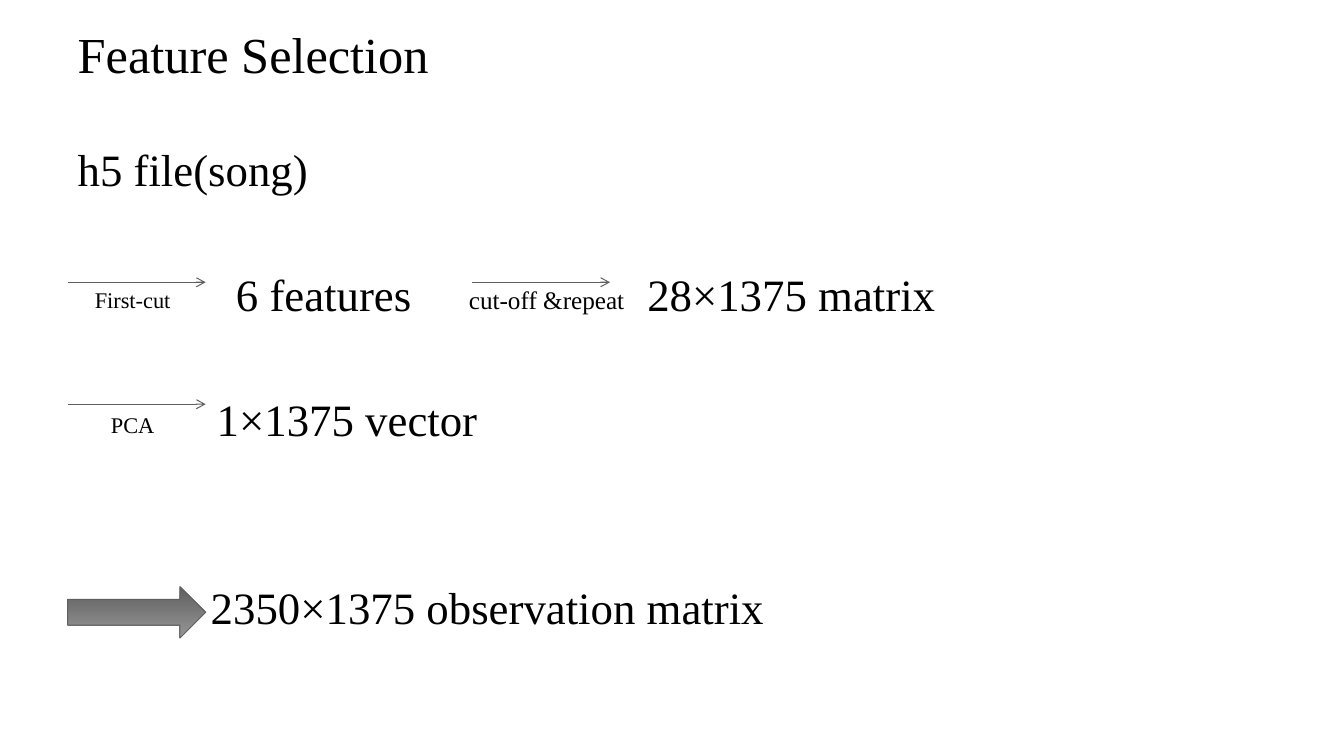
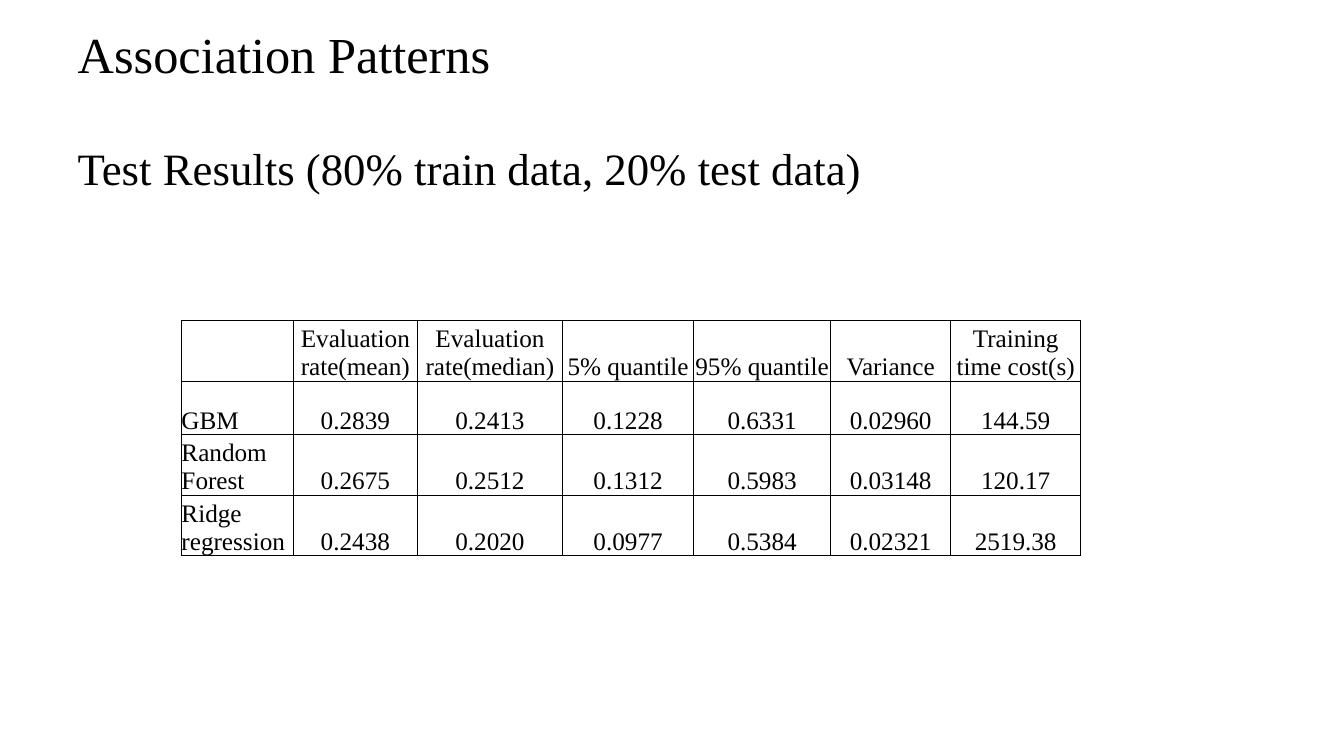
"""Build two slides: feature selection steps and model test results."""
from lxml import etree
from pptx import Presentation
from pptx import util as u
from pptx.dml.color import RGBColor
from pptx.enum import shapes, text
from pptx.oxml import ns

BLACK = RGBColor(0, 0, 0)
DARK = RGBColor(0x5F, 0x5F, 0x5F)
LIGHT = RGBColor(0x96, 0x96, 0x96)
FONT = "Times New Roman"
ASCENT = 0.891
LEFT = 0.67
EDGE = 0.77
REACH = 1.37
THIN = u.Pt(0.75)

STEPS = [
    ("h5 file(song)", 32, EDGE, 1.8, 3),
    ("First-cut", 16, 0.94, 3.04, 1),
    ("6 features", 32, 2.34, 3.04, 2.2),
    ("cut-off &repeat", 18, 4.65, 3.04, 1.75),
    ("28×1375 matrix", 32, 6.42, 3.04, 3.5),
    ("PCA", 16, 1.1, 4.28, 0.8),
    ("1×1375 vector", 32, 2.15, 4.28, 3.2),
    ("2350×1375 observation matrix", 32, 2.09, 6.15, 6.5),
]
ARROWS = [(LEFT, 2.8), (4.68, 2.8), (LEFT, 4.01)]
RESULTS = [("Test Results (80% train data, 20% test data)", 32, EDGE, 1.79, 9)]

COLS = [1.11, 1.23, 1.44, 1.3, 1.36, 1.19, 1.29]
ROWS = [0.6, 0.53, 0.6, 0.55]
TABLE = [
    ["", "Evaluation rate(mean)", "Evaluation rate(median)", "5% quantile",
     "95% quantile", "Variance", "Training time cost(s)"],
    ["GBM", "0.2839", "0.2413", "0.1228", "0.6331", "0.02960", "144.59"],
    ["Random Forest", "0.2675", "0.2512", "0.1312", "0.5983", "0.03148", "120.17"],
    ["Ridge regression", "0.2438", "0.2020", "0.0977", "0.5384", "0.02321", "2519.38"],
]


def write(frame, words, size, align=text.PP_ALIGN.LEFT):
    para = frame.paragraphs[0]
    para.alignment = align
    run = para.add_run()
    run.text = words
    run.font.name = FONT
    run.font.size = u.Pt(size)
    run.font.color.rgb = BLACK


def start(deck, words):
    slide = deck.slides.add_slide(deck.slide_layouts[5])
    title = slide.shapes.title
    title.left, title.top = u.Inches(LEFT), u.Inches(0.21)
    title.width, title.height = u.Inches(12), u.Inches(0.64)
    frame = title.text_frame
    frame.auto_size = text.MSO_AUTO_SIZE.NONE
    frame.vertical_anchor = text.MSO_ANCHOR.MIDDLE
    write(frame, words, 36)
    return slide


def label(slide, words, size, left, base, width):
    top = base - ASCENT * size / 72
    box = slide.shapes.add_textbox(u.Inches(left), u.Inches(top),
                                   u.Inches(width), u.Inches(size / 60))
    frame = box.text_frame
    frame.word_wrap = True
    frame.margin_left = frame.margin_right = 0
    frame.margin_top = frame.margin_bottom = 0
    write(frame, words, size)


def arrow(slide, left, top):
    line = slide.shapes.add_connector(
        shapes.MSO_CONNECTOR.STRAIGHT, u.Inches(left), u.Inches(top),
        u.Inches(left + REACH), u.Inches(top))
    line.line.color.rgb = DARK
    line.line.width = THIN
    etree.SubElement(line.line._get_or_add_ln(), ns.qn("a:tailEnd"), type="arrow")
    etree.SubElement(line._element.spPr, ns.qn("a:effectLst"))


def block(slide):
    shape = slide.shapes.add_shape(
        shapes.MSO_SHAPE.RIGHT_ARROW, u.Inches(LEFT), u.Inches(5.82),
        u.Inches(REACH), u.Inches(0.51))
    shape.shadow.inherit = False
    shape.fill.gradient()
    shape.fill.gradient_angle = 270
    for stop, color in zip(shape.fill.gradient_stops, (DARK, LIGHT)):
        stop.color.rgb = color
    shape.line.color.rgb = DARK
    shape.line.width = THIN


def border(cell):
    props = cell._tc.get_or_add_tcPr()
    for side in ("lnL", "lnR", "lnT", "lnB"):
        line = etree.SubElement(props, ns.qn("a:" + side), w=str(THIN))
        fill = etree.SubElement(line, ns.qn("a:solidFill"))
        etree.SubElement(fill, ns.qn("a:srgbClr"), val=str(BLACK))


def grid(slide):
    table = slide.shapes.add_table(
        len(ROWS), len(COLS), u.Inches(1.8), u.Inches(3.18),
        u.Inches(sum(COLS)), u.Inches(sum(ROWS))).table
    table.first_row = table.horz_banding = False
    for col, width in zip(table.columns, COLS):
        col.width = u.Inches(width)
    for r, (height, row) in enumerate(zip(ROWS, TABLE)):
        table.rows[r].height = u.Inches(height)
        for c, words in enumerate(row):
            cell = table.cell(r, c)
            cell.margin_left = cell.margin_right = 0
            cell.margin_top = cell.margin_bottom = 0
            cell.vertical_anchor = text.MSO_ANCHOR.BOTTOM
            border(cell)
            cell.fill.background()
            if words:
                align = text.PP_ALIGN.CENTER if c else text.PP_ALIGN.LEFT
                write(cell.text_frame, words, 18, align)


def main():
    deck = Presentation()
    deck.slide_width, deck.slide_height = u.Inches(13.33), u.Inches(7.5)

    slide = start(deck, "Feature Selection")
    for step in STEPS:
        label(slide, *step)
    for spot in ARROWS:
        arrow(slide, *spot)
    block(slide)

    slide = start(deck, "Association Patterns")
    for line in RESULTS:
        label(slide, *line)
    grid(slide)

    deck.save("out.pptx")


if __name__ == "__main__":
    main()
